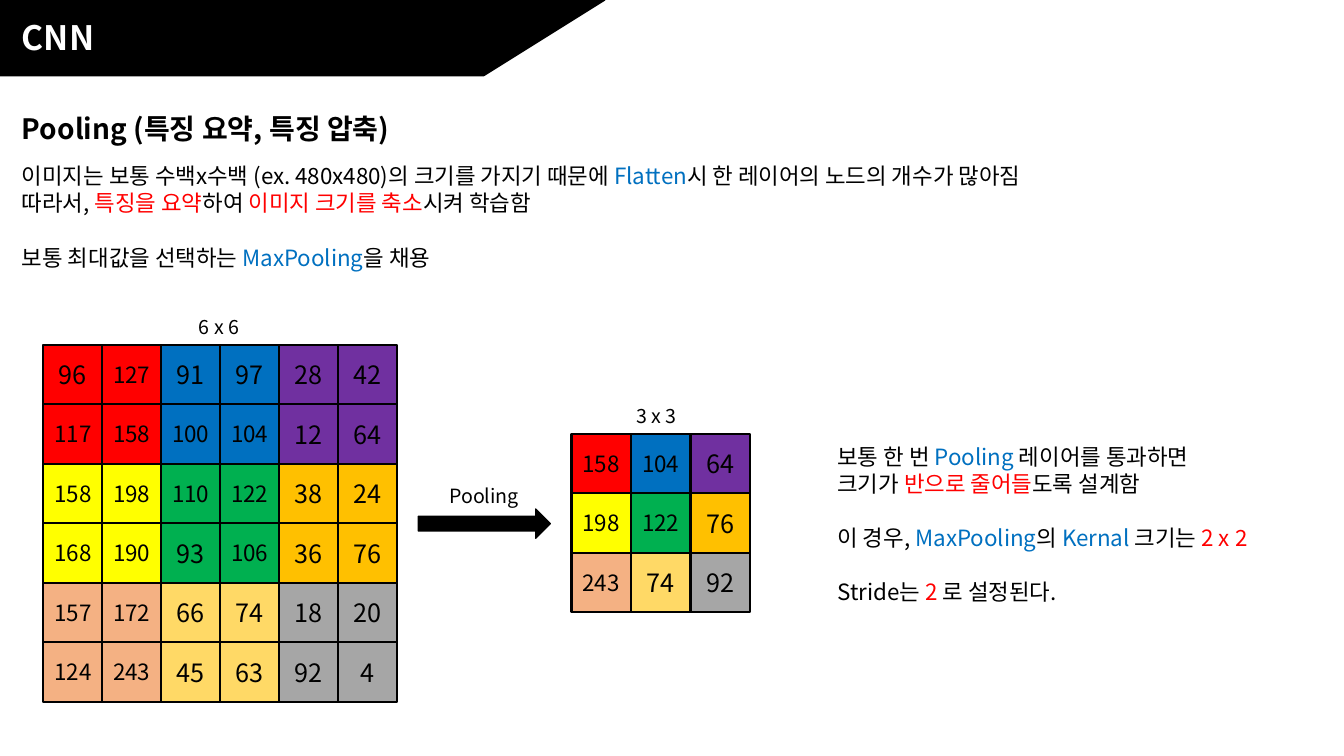
"""Builds a slide that explains max pooling from a 6 x 6 grid to a 3 x 3 grid."""
from pptx import Presentation
from pptx import util as u
from pptx.dml.color import RGBColor
from pptx.enum import shapes, text
from pptx.oxml.ns import qn
from lxml import etree

FONT = "Noto Sans CJK KR"
LINE = 1.21
COLORS = {
    "black": "000000", "white": "FFFFFF", "red": "FF0000", "blue": "0070C0",
    "purple": "7030A0", "yellow": "FFFF00", "green": "00B050", "orange": "FFC000",
    "peach": "F4B183", "sand": "FFD966", "gray": "A6A6A6",
}
FEATURES = [
    [96, 127, 91, 97, 28, 42],
    [117, 158, 100, 104, 12, 64],
    [158, 198, 110, 122, 38, 24],
    [168, 190, 93, 106, 36, 76],
    [157, 172, 66, 74, 18, 20],
    [124, 243, 45, 63, 92, 4],
]
BLOCKS = [
    ["red", "blue", "purple"],
    ["yellow", "green", "orange"],
    ["peach", "sand", "gray"],
]
KERNEL = 2
INTRO = [
    (False, [("이미지는 보통 수백x수백 (ex. 480x480)의 크기를 가지기 때문에 ", "black"),
             ("Flatten", "blue"), ("시 한 레이어의 노드의 개수가 많아짐", "black")]),
    (False, [("따라서, ", "black"), ("특징을 요약", "red"), ("하여 ", "black"),
             ("이미지 크기를 축소", "red"), ("시켜 학습함", "black")]),
    (True, [("보통 최대값을 선택하는 ", "black"), ("MaxPooling", "blue"), ("을 채용", "black")]),
]
RESULT = [
    (False, [("보통 한 번 ", "black"), ("Pooling", "blue"), (" 레이어를 통과하면", "black")]),
    (False, [("크기가 ", "black"), ("반으로 줄어들", "red"), ("도록 설계함", "black")]),
    (True, [("이 경우, ", "black"), ("MaxPooling", "blue"), ("의 ", "black"),
            ("Kernal ", "blue"), ("크기는 ", "black"), ("2 x 2", "red")]),
    (True, [("Stride는 ", "black"), ("2 ", "red"), ("로 설정된다.", "black")]),
]


def color(name):
    return RGBColor.from_string(COLORS[name])


def add_run(p, words, size, name, bold=False):
    r = p.add_run()
    r.text = words
    r.font.size, r.font.bold, r.font.name = u.Pt(size), bold, FONT
    r.font.color.rgb = color(name)
    r.font._element.find(qn("a:latin")).addnext(
        etree.Element(qn("a:ea"), typeface=FONT))


def add_text(s, box, paragraphs, size, bold=False, centered=False):
    tf = s.shapes.add_textbox(*map(u.Pt, box)).text_frame
    tf.word_wrap = True
    for i, (gap, runs) in enumerate(paragraphs):
        p = tf.paragraphs[0] if i == 0 else tf.add_paragraph()
        p.alignment = text.PP_ALIGN.CENTER if centered else text.PP_ALIGN.LEFT
        p.line_spacing = u.Pt(round(size * LINE, 1))
        if gap:
            p.space_before = p.line_spacing
        for words, name in runs:
            add_run(p, words, size, name, bold)


def add_line(s, box, words, size, name="black", **style):
    add_text(s, box, [(False, [(words, name)])], size, **style)


def add_block(parent, kind, box, fill, line=1):
    sp = parent.shapes.add_shape(kind, *map(u.Pt, box))
    sp.shadow.inherit = False
    sp.fill.solid()
    sp.fill.fore_color.rgb = color(fill)
    sp.line.color.rgb = color("black")
    sp.line.width = u.Pt(line)
    return sp


def add_grid(s, left, top, width, height, values, step):
    group = s.shapes.add_group_shape()
    for row, numbers in enumerate(values):
        for col, number in enumerate(numbers):
            box = (left + col * width, top + row * height, width, height)
            sp = add_block(group, shapes.MSO_SHAPE.RECTANGLE, box,
                           BLOCKS[row // step][col // step], 1.5)
            tf = sp.text_frame
            tf.vertical_anchor = text.MSO_ANCHOR.MIDDLE
            p = tf.paragraphs[0]
            p.alignment = text.PP_ALIGN.CENTER
            add_run(p, str(number), 16 if number > 99 else 18, "black")


def pool(values):
    return [[max(values[r + i][c + j] for i in range(KERNEL) for j in range(KERNEL))
             for c in range(0, len(values[0]), KERNEL)]
            for r in range(0, len(values), KERNEL)]


def main():
    prs = Presentation()
    prs.slide_width, prs.slide_height = u.Pt(960), u.Pt(540)
    s = prs.slides.add_slide(prs.slide_layouts[6])

    add_block(s, shapes.MSO_SHAPE.RECTANGLE, (0, 0, 142.5, 54), "black")
    add_block(s, shapes.MSO_SHAPE.FLOWCHART_DATA, (0, 0, 432, 54), "black")
    add_line(s, (8.6, 8.6, 267, 36), "CNN", 24, "white", bold=True)
    add_line(s, (8.6, 75.6, 608, 31.7), "Pooling (특징 요약, 특징 압축)", 20, bold=True)
    add_text(s, (8.6, 112.3, 925, 85), INTRO, 16)

    add_grid(s, 31, 246.2, 42.1, 42.5, FEATURES, KERNEL)
    add_line(s, (92.9, 221, 127.4, 24.5), "6 x 6", 14, centered=True)
    add_grid(s, 408.2, 309.8, 42.5, 42.5, pool(FEATURES), 1)
    add_line(s, (405.4, 285.1, 127.4, 24.5), "3 x 3", 14, centered=True)

    add_block(s, shapes.MSO_SHAPE.RIGHT_ARROW, (298.8, 363.6, 94.3, 20.9), "black")
    add_line(s, (282.2, 342, 127.4, 24.5), "Pooling", 14, centered=True)
    add_text(s, (591.1, 312.5, 342.7, 123.8), RESULT, 16)
    prs.save("out.pptx")


if __name__ == "__main__":
    main()
